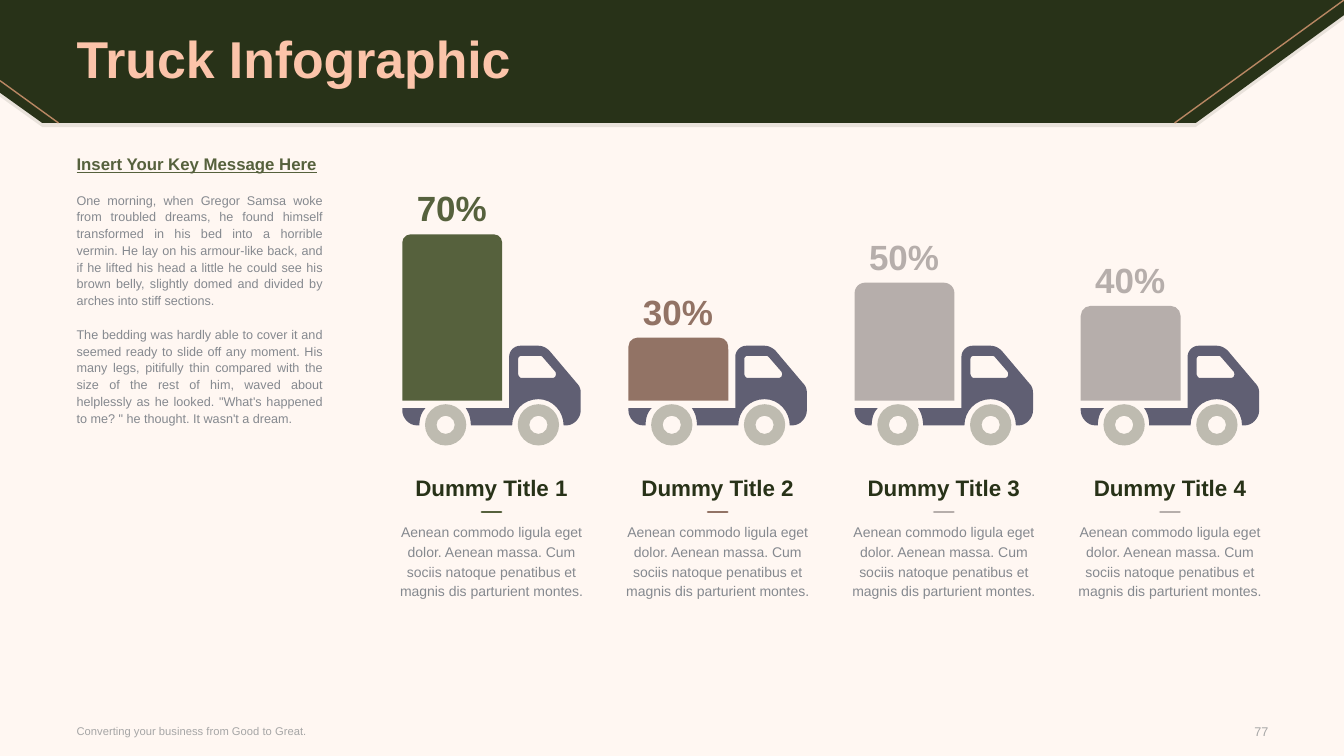
from lxml import etree
from pptx import Presentation, util as u
from pptx.dml.color import RGBColor
from pptx.enum import shapes, text
from pptx.oxml.ns import qn

# The grid: one unit is a hundredth of an inch, on 1333 columns by 750 rows.
WIDE, HIGH = 1333, 750
FIRST, PITCH = 399, 224.3
FLOOR = 397.5
CAB_TOP = 343

PALE, DARK, GREEN, BROWN = "FFF7F2", "283218", "56613D", "927365"
GREY, SLATE, BODY, FAINT = "B6AEAB", "605F73", "85898F", "A6A6A6"
PEACH, COPPER = "FBC4AA", "B98763"

# share, title, colour, box height, corner
TRUCKS = [
    ("70%", "Dummy Title 1", GREEN, 165, 0.081),
    ("30%", "Dummy Title 2", BROWN, 62.5, 0.142),
    ("50%", "Dummy Title 3", GREY, 117, 0.104),
    ("40%", "Dummy Title 4", GREY, 94, 0.104),
]
BLURB = ("Aenean commodo ligula eget dolor. Aenean massa. Cum sociis natoque "
         "penatibus et magnis dis parturient montes.")
STORY = [
    "One morning, when Gregor Samsa woke from troubled dreams, he found himself "
    "transformed in his bed into a horrible vermin. He lay on his armour-like back, "
    "and if he lifted his head a little he could see his brown belly, slightly domed "
    "and divided by arches into stiff sections.",
    "The bedding was hardly able to cover it and seemed ready to slide off any "
    "moment. His many legs, pitifully thin compared with the size of the rest of "
    "him, waved about helplessly as he looked. \"What's happened to me? \" he "
    "thought. It wasn't a dream.",
]

# Outlines: two numbers are a corner, six are a curve.
BAND = [(1186, 122), (42, 122), (0, 92), (0, 0), (1333, 0), (1333, 15)]
REAR = [(0, 62), (0, 64), (0, 72, 7, 79, 14, 79), (17, 79), (17, 72, 19, 66, 23, 62)]
CAB = [(63, 62), (66, 66, 68, 72, 68, 79), (109, 79), (109, 65, 120, 53, 135, 53),
       (149, 53, 160, 65, 160, 79), (163, 79), (170, 79, 177, 72, 177, 64), (177, 47),
       (177, 43, 176, 40, 173, 37), (146, 5), (143, 2, 139, 0, 135, 0), (117, 0),
       (111, 0, 106, 5, 106, 11), (106, 62)]
PANE = [(115, 13), (115, 11, 117, 10, 118, 10), (136, 10), (137, 10, 138, 10, 139, 11),
        (152, 26), (152, 27, 153, 28, 152, 30), (152, 31, 150, 32, 149, 32), (118, 32),
        (117, 32, 115, 30, 115, 28)]


def unit(n):
    return u.Emu(round(n * 9144))


def rgb(code):
    return RGBColor.from_string(code)


def paint(shape, code, alpha=100):
    shape.shadow.inherit = False
    shape.fill.solid()
    shape.fill.fore_color.rgb = rgb(code)
    shape.line.fill.background()
    if alpha < 100:
        tint = shape.fill._xPr.find(".//" + qn("a:srgbClr"))
        etree.SubElement(tint, qn("a:alpha")).set("val", str(alpha * 1000))


def trace(steps, x, y):
    """Turn corners and curves into points, moved by x and y."""
    spots = []
    for step in steps:
        if len(step) == 2:
            spots.append(step)
            continue
        ends = [spots[-1], step[:2], step[2:4], step[4:]]
        for i in range(1, 9):
            t = i / 8
            mix = ((1 - t) ** 3, 3 * t * (1 - t) ** 2, 3 * t * t * (1 - t), t ** 3)
            spots.append(tuple(sum(m * p[k] for m, p in zip(mix, ends)) for k in (0, 1)))
    return [(unit(a + x), unit(b + y)) for a, b in spots]


def draw(slide, loops, x, y, code, alpha=100):
    """Draw an outline; later loops are holes."""
    lines = [trace(loop, x, y) for loop in loops]
    pen = slide.shapes.build_freeform(*lines[0][0], scale=1.0)
    for i, line in enumerate(lines):
        if i:
            pen.move_to(*line[0])
        pen.add_line_segments(line[1:], close=True)
    paint(pen.convert_to_shape(), code, alpha)


def preset(slide, kind, x, y, w, h, code, corner, alpha=100):
    shape = slide.shapes.add_shape(kind, unit(x), unit(y), unit(w), unit(h))
    shape.adjustments[0] = corner
    paint(shape, code, alpha)


def rule(slide, x1, y1, x2, y2, code, width, cap="flat"):
    line = slide.shapes.add_connector(
        shapes.MSO_CONNECTOR.STRAIGHT, unit(x1), unit(y1), unit(x2), unit(y2))
    line.line.color.rgb = rgb(code)
    line.line.width = u.Pt(width)
    line.line._get_or_add_ln().set("cap", cap)
    etree.SubElement(line._element.spPr, qn("a:effectLst"))


def frame(slide, x, y, w, h, anchor="TOP"):
    box = slide.shapes.add_textbox(unit(x), unit(y), unit(w), unit(h)).text_frame
    box.word_wrap = True
    box.margin_left = box.margin_right = box.margin_top = box.margin_bottom = 0
    box.vertical_anchor = text.MSO_ANCHOR[anchor]
    return box


def write(par, words, size, code, bold=False, under=False, align="LEFT", lead=None):
    par.alignment = text.PP_ALIGN[align]
    if lead:
        par.line_spacing = lead
    run = par.add_run()
    run.text = words
    font = run.font
    font.name, font.size = "Arial", u.Pt(size)
    font.bold, font.underline = bold, under
    font.color.rgb = rgb(code)


def label(slide, spot, words, size, code, anchor="TOP", **style):
    write(frame(slide, *spot, anchor).paragraphs[0], words, size, code, **style)


def header(slide):
    draw(slide, [BAND], 0, 4, DARK, 10)
    draw(slide, [BAND], 0, 0, DARK)
    rule(slide, WIDE, 0, 1165, 122, COPPER, 1)
    rule(slide, 58, 122, 0, 80, COPPER, 1)
    label(slide, (76, 3, 1181, 117), "Truck Infographic", 37, PEACH, "MIDDLE",
          bold=True, lead=0.9)


def message(slide):
    box = frame(slide, 76, 156, 244, 519)
    style = dict(align="JUSTIFY", lead=u.Pt(12))
    write(box.paragraphs[0], "Insert Your Key Message Here", 12, GREEN, True, True, **style)
    for words in STORY:
        par = box.add_paragraph()
        par.space_before = u.Pt(12)
        write(par, words, 9, BODY, **style)


def truck(slide, x, share, title, code, tall, corner):
    kinds = shapes.MSO_SHAPE
    top = FLOOR - tall
    preset(slide, kinds.ROUND_2_SAME_RECTANGLE, x, top, 99, tall, code, corner)
    draw(slide, [REAR], x, CAB_TOP, SLATE)
    draw(slide, [CAB, PANE], x, CAB_TOP, SLATE)
    for hub in (22.5, 114.5):
        preset(slide, kinds.DONUT, x + hub, 401, 41, 41, DARK, 0.28, 30)
    label(slide, (x + 3, top - 47, 92, 42), share, 25, code, bold=True, align="CENTER")
    label(slide, (x - 8, 470, 193, 27), title, 16, DARK, bold=True, align="CENTER")
    rule(slide, x + 79, 508, x + 98, 508, code, 2, "rnd")
    label(slide, (x - 8, 517, 193, 79), BLURB, 10, BODY, align="CENTER", lead=u.Pt(14))


def footer(slide):
    label(slide, (76, 712, 523, 26), "Converting your business from Good to Great.",
          8, FAINT, "MIDDLE")
    label(slide, (1195, 713, 63, 26), "77", 9, FAINT, "MIDDLE", align="RIGHT")


def main():
    deck = Presentation()
    deck.slide_width, deck.slide_height = unit(WIDE), unit(HIGH)
    slide = deck.slides.add_slide(deck.slide_layouts[6])
    slide.background.fill.solid()
    slide.background.fill.fore_color.rgb = rgb(PALE)
    header(slide)
    message(slide)
    for i, row in enumerate(TRUCKS):
        truck(slide, FIRST + i * PITCH, *row)
    footer(slide)
    deck.save("out.pptx")


if __name__ == "__main__":
    main()
